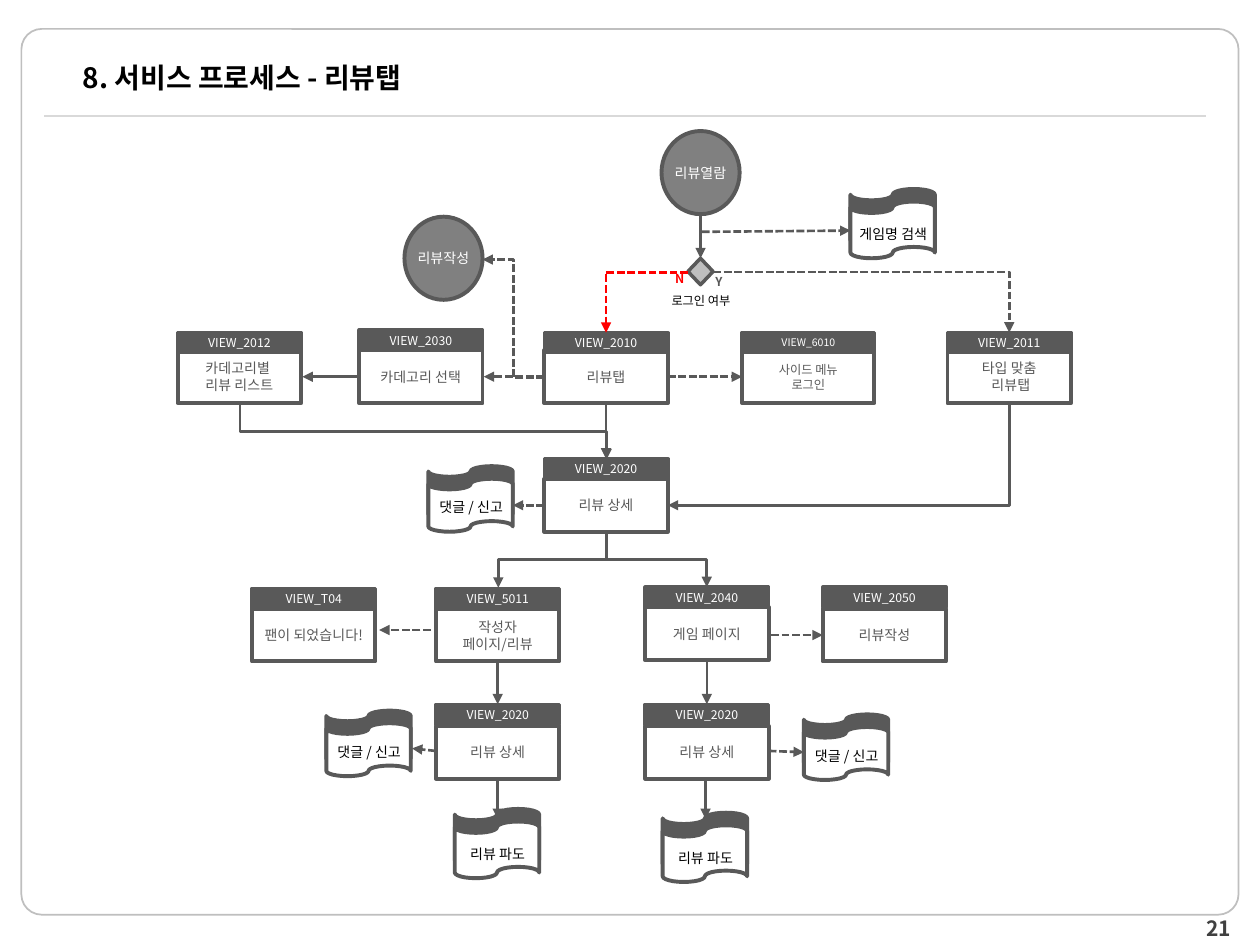
from lxml import etree
from pptx import Presentation
from pptx.dml.color import RGBColor
from pptx.enum import dml, shapes, text
from pptx.oxml import ns
from pptx.util import Inches, Pt

FONT = "Noto Sans CJK KR"
BLACK = RGBColor(0x00, 0x00, 0x00)
WHITE = RGBColor(0xFF, 0xFF, 0xFF)
RED = RGBColor(0xFF, 0x00, 0x00)
DARK = RGBColor(0x59, 0x59, 0x59)
INK = RGBColor(0x40, 0x40, 0x40)
GREY = RGBColor(0x80, 0x80, 0x80)
PALE = RGBColor(0xBF, 0xBF, 0xBF)
RULE = RGBColor(0xD9, 0xD9, 0xD9)
KIND = shapes.MSO_SHAPE
LEFT, MID, RIGHT = text.PP_ALIGN.LEFT, text.PP_ALIGN.CENTER, text.PP_ALIGN.RIGHT
TOP, CORE = text.MSO_ANCHOR.TOP, text.MSO_ANCHOR.MIDDLE

deck = Presentation()
deck.slide_width, deck.slide_height = Inches(10), Inches(7.5)
slide = deck.slides.add_slide(deck.slide_layouts[6])
page = slide.shapes


def write(words, box, size=8, color=BLACK, bold=False, align=MID,
          anchor=CORE, wrap=True, pad=(0.09, 0.04), home=page, kind=None,
          fill=None, edge=DARK, width=2.25):
    """Add a text box, or a shape if a kind is given; return it."""
    spot = [Inches(n) for n in box]
    if kind is None:
        item = home.add_textbox(*spot)
    else:
        item = home.add_shape(kind, *spot)
        item.shadow.inherit = False
        if fill is None:
            item.fill.background()
        else:
            item.fill.solid()
            item.fill.fore_color.rgb = fill
        item.line.color.rgb = edge
        item.line.width = Pt(width)
    if not words:
        return item
    frame = item.text_frame
    frame.word_wrap = wrap
    frame.vertical_anchor = anchor
    frame.margin_left = frame.margin_right = Inches(pad[0])
    frame.margin_top = frame.margin_bottom = Inches(pad[1])
    frame.text = words
    for para in frame.paragraphs:
        para.alignment = align
        for run in para.runs:
            font = run.font
            font.name, font.size, font.bold = FONT, Pt(size), bold
            font.color.rgb = color
            east = etree.SubElement(run._r.rPr, ns.qn("a:ea"))
            east.set("typeface", FONT)
    return item


def link(x1, y1, x2, y2, dash=False, color=DARK, tip=True,
         kind=shapes.MSO_CONNECTOR.STRAIGHT):
    """Add a connector, with an arrowhead at its end if tip is set."""
    wire = page.add_connector(kind, *[Inches(n) for n in (x1, y1, x2, y2)])
    wire.line.color.rgb = color
    wire.line.width = Pt(1.5)
    if dash:
        wire.line.dash_style = dml.MSO_LINE.SQUARE_DOT
    props = wire._element.spPr
    if tip:
        tail = etree.SubElement(props.find(ns.qn("a:ln")), ns.qn("a:tailEnd"))
        tail.set("type", "triangle")
    etree.SubElement(props, ns.qn("a:effectLst"))
    return wire


# Page frame, title and number
frame = write("", (0.17, 0.23, 9.66, 7.03), kind=KIND.ROUNDED_RECTANGLE,
              edge=PALE, width=1)
frame.adjustments[0] = 0.023
link(0.35, 0.92, 9.57, 0.92, color=RULE, tip=False)
write("21", (7.54, 7.29, 2.33, 0.16), size=12, color=INK, bold=True,
      align=RIGHT, pad=(0.1, 0.05))
write("8. 서비스 프로세스 - 리뷰탭", (0.56, 0.18, 8.87, 0.86), size=16,
      bold=True, align=LEFT, pad=(0.1, 0.05))

# Start circles
for words, x, y in [("리뷰열람", 5.25, 1.04), ("리뷰작성", 3.21, 1.72)]:
    write(words, (x, y, 0.62, 0.66), color=WHITE, wrap=False,
          kind=KIND.OVAL, fill=GREY)

# Views: code, label, left, head top, body top, width, label size
for code, words, x, head, body, w, size in [
    ("VIEW_2012", "카데고리별 \v리뷰 리스트", 1.41, 2.64, 2.78, 0.98, 8),
    ("VIEW_2030", "카데고리 선택", 2.85, 2.62, 2.78, 0.98, 8),
    ("VIEW_2010", "리뷰탭", 4.32, 2.64, 2.78, 0.98, 8),
    ("VIEW_6010", "사이드 메뉴\v로그인", 5.89, 2.64, 2.78, 1.05, 7),
    ("VIEW_2011", "타입 맞춤\n 리뷰탭", 7.52, 2.64, 2.78, 0.98, 8),
    ("VIEW_2020", "리뷰 상세", 4.32, 3.64, 3.8, 0.98, 8),
    ("VIEW_T04", "팬이 되었습니다!", 2, 4.67, 4.83, 0.98, 8),
    ("VIEW_5011", "작성자 페이지/리뷰", 3.46, 4.67, 4.83, 0.98, 8),
    ("VIEW_2040", "게임 페이지", 5.12, 4.66, 4.82, 0.98, 8),
    ("VIEW_2050", "리뷰작성", 6.53, 4.66, 4.83, 0.98, 8),
    ("VIEW_2020", "리뷰 상세", 3.46, 5.59, 5.76, 0.98, 8),
    ("VIEW_2020", "리뷰 상세", 5.12, 5.59, 5.76, 0.98, 8),
]:
    write(words, (x, body, w, 0.42), size=size, color=DARK,
          kind=KIND.RECTANGLE, fill=WHITE)
    write(code, (x, head, w, 0.16), size=size - 1, color=WHITE,
          kind=KIND.RECTANGLE, fill=DARK, width=2)

# Tapes: a dark sheet behind a white one, with a label
for words, x, y, h in [
    ("게임명 검색", 6.75, 1.5, 0.45),
    ("댓글 / 신고", 3.4, 3.7, 0.42),
    ("댓글 / 신고", 2.59, 5.64, 0.42),
    ("댓글 / 신고", 6.38, 5.67, 0.42),
    ("리뷰 파도", 3.61, 6.42, 0.45),
    ("리뷰 파도", 5.26, 6.45, 0.45),
]:
    home = page.add_group_shape().shapes
    for drop, fill in [(0, DARK), (0.1, WHITE)]:
        write("", (x, y + drop, 0.67, h), home=home,
              kind=KIND.FLOWCHART_PUNCHED_TAPE, fill=fill)
    write(words, (x - 0.05, y + h - 0.21, 0.78, 0.24), anchor=TOP,
          wrap=False, pad=(0.1, 0.05), home=home)

# Login decision
write("", (5.46, 2.05, 0.2, 0.21), kind=KIND.FLOWCHART_DECISION,
      fill=PALE, width=2)
write("로그인 여부", (5.24, 2.29, 0.67, 0.21), size=7, align=LEFT,
      anchor=TOP, wrap=False)
for words, x, y, color in [("N", 5.26, 2.1, RED), ("Y", 5.57, 2.13, DARK)]:
    write(words, (x, y, 0.27, 0.22), size=7, color=color, bold=True,
          anchor=TOP, wrap=False, pad=(0.1, 0.05))

# Straight arrows
for ends in [
    (5.56, 1.7, 5.56, 2.05), (4.81, 3.2, 4.81, 3.64),
    (2.85, 2.99, 2.4, 2.99),
    (3.95, 5.24, 3.95, 5.59), (5.61, 5.24, 5.61, 5.59),
    (3.95, 6.18, 3.95, 6.5), (5.6, 6.18, 5.6, 6.5),
]:
    link(*ends)
for ends in [
    (5.57, 1.84, 6.75, 1.83), (4.32, 2.99, 3.84, 2.99),
    (5.3, 2.99, 5.89, 2.99), (4.32, 4.01, 4.07, 4.01),
    (3.42, 5, 3.01, 5), (6.12, 5.04, 6.53, 5.04),
    (3.46, 5.96, 3.27, 5.94), (6.1, 5.96, 6.38, 5.97),
]:
    link(*ends, dash=True)

# Elbow arrows: box before turning, turn, flip, bends, dash, colour
for x, y, w, h, turn, flip, bends, dash, color in [
    (4.99, 4.04, 0.44, 0.8, 270, "flipH", 3, False, DARK),
    (4.16, 4.01, 0.45, 0.86, 90, None, 3, False, DARK),
    (3.83, 2.06, 0.49, 0.94, 180, None, 3, True, DARK),
    (3.14, 1.97, 0.44, 2.91, 270, "flipH", 3, False, DARK),
    (4.81, 2.16, 0.65, 0.48, 180, "flipV", 2, True, RED),
    (5.66, 2.16, 2.35, 0.48, 0, None, 2, True, DARK),
    (6.25, 2.25, 0.81, 2.71, 90, None, 2, False, DARK),
]:
    wire = link(x, y, x + w, y + h, dash=dash, color=color,
                kind=shapes.MSO_CONNECTOR.ELBOW)
    props = wire._element.spPr
    props.find(ns.qn("a:prstGeom")).set("prst", f"bentConnector{bends}")
    frame = props.find(ns.qn("a:xfrm"))
    frame.set("rot", str(turn * 60000))
    if flip:
        frame.set(flip, "1")

deck.save("out.pptx")
